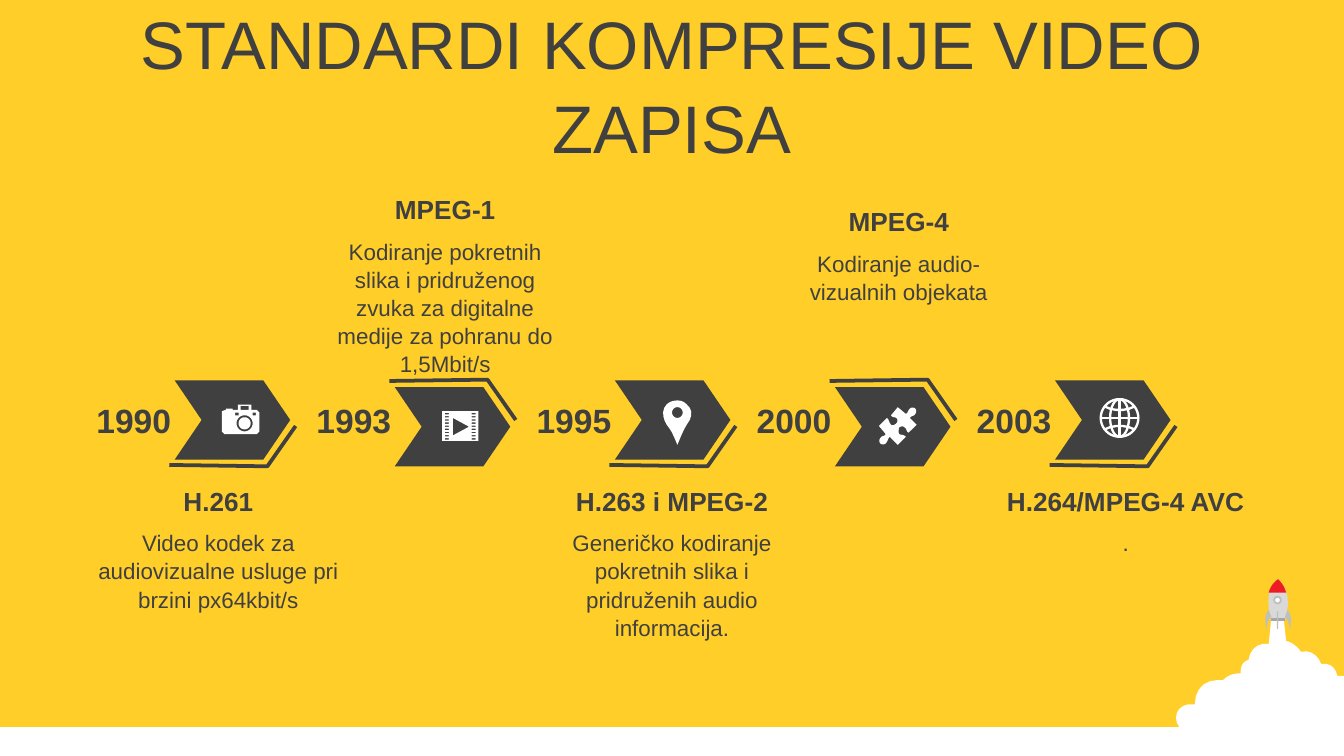
from math import cos, pi, sin

from pptx import Presentation
from pptx.dml.color import RGBColor
from pptx.enum.shapes import MSO_SHAPE
from pptx.enum.text import MSO_ANCHOR, PP_ALIGN
from pptx.util import Inches, Pt

YELLOW = RGBColor(0xFF, 0xCE, 0x29)
DARK = RGBColor(0x40, 0x40, 0x40)
WHITE = RGBColor(0xFF, 0xFF, 0xFF)
LIGHT_GRAY = RGBColor(0xD9, 0xD9, 0xD9)
SILVER = RGBColor(0xBF, 0xBF, 0xBF)
GRAY = RGBColor(0xA6, 0xA6, 0xA6)
RED = RGBColor(0xED, 0x1C, 0x24)

COLUMNS, ROWS = 1000, 562.5
CELL = Inches(10) / COLUMNS
CIRCLE = [(cos(pi * step / 20), sin(pi * step / 20)) for step in range(41)]

deck = Presentation()
deck.slide_width = int(COLUMNS * CELL)
deck.slide_height = int(ROWS * CELL)
page = deck.slides.add_slide(deck.slide_layouts[6])
page.background.fill.solid()
page.background.fill.fore_color.rgb = YELLOW


def write(text, left, top, width, height, size=12, bold=False, anchor=MSO_ANCHOR.TOP):
    box = page.shapes.add_textbox(*(int(side * CELL) for side in (left, top, width, height)))
    frame = box.text_frame
    frame.word_wrap = True
    frame.vertical_anchor = anchor
    para = frame.paragraphs[0]
    para.alignment = PP_ALIGN.CENTER
    para.line_spacing = 1.05
    span = para.add_run()
    span.text = text
    span.font.name = "Arial"
    span.font.size = Pt(size)
    span.font.bold = bold
    span.font.color.rgb = DARK


def sketch(contours, fill=None, line=None, weight=2):
    builder = page.shapes.build_freeform(*(side * CELL for side in contours[0][0]), scale=1.0)
    for index, contour in enumerate(contours):
        points = [contour[0]]
        for step in contour[1:]:
            if len(step) == 2:
                points.append(step)
                continue
            x, y = points[-1]
            a, b, c, d, e, f = step
            for t in (0.2, 0.4, 0.6, 0.8, 1):
                u = 1 - t
                weights = u**3, 3 * u * u * t, 3 * u * t * t, t**3
                points.append((sum(w * v for w, v in zip(weights, (x, a, c, e))),
                               sum(w * v for w, v in zip(weights, (y, b, d, f)))))
        points = [(x * CELL, y * CELL) for x, y in points]
        if index:
            builder.move_to(*points[0])
        builder.add_line_segments(points[1:], close=fill is not None)
    shape = builder.convert_to_shape()
    shape.shadow.inherit = False
    if fill is None:
        shape.fill.background()
        shape.line.color.rgb = line
        shape.line.width = Pt(weight)
    else:
        shape.fill.solid()
        shape.fill.fore_color.rgb = fill
        shape.line.fill.background()


cloud = [(946, 459), (955, 459), (957, 477), (959, 477, 965, 480, 968, 485),
         (975, 483, 981, 488, 983, 494), (990, 493, 994, 497, 995, 503),
         (1000, 503), (1000, 561), (893, 561), (893, 544),
         (891, 545, 889, 545, 886, 545), (880, 545, 875, 540, 875, 534),
         (875, 528, 880, 523, 889, 524), (889, 513, 896, 506, 906, 506),
         (910, 506), (914, 502, 918, 501, 923, 501), (923, 495, 925, 492, 929, 491),
         (930, 483, 936, 478, 944, 479)]
rocket_body = [(946, 462), (944, 453, 940, 440, 951, 431), (962, 441, 958, 454, 956, 462)]
rocket_band = [(946, 460), (956, 460), (956, 462), (946, 462)]
rocket_nose = [(951, 431), (954, 434, 956, 437, 957, 441), (944, 441),
               (945, 437, 947, 434, 951, 431)]
for contour, color in ((cloud, WHITE), (rocket_body, LIGHT_GRAY),
                       (rocket_band, GRAY), (rocket_nose, RED)):
    sketch([contour], color)
for side in (-1, 1):
    fin = [(7, 454), (5, 459), (8, 461, 8, 466, 9, 468), (9, 465, 11, 457, 7, 454)]
    sketch([[tuple(951 + side * value if place % 2 == 0 else value
                   for place, value in enumerate(step)) for step in fin]], SILVER)

presets = [(MSO_SHAPE.RECTANGLE, 0, 541, COLUMNS, ROWS - 541, WHITE, None),
           (MSO_SHAPE.OVAL, 948, 444, 5, 5, WHITE, SILVER),
           (MSO_SHAPE.RECTANGLE, 950, 455, 1, 13, SILVER, None)]
for step in range(5):
    presets.append((MSO_SHAPE.CHEVRON, 130 + 163.75 * step, 288 if step % 2 else 283,
                    86, 59, DARK, None))
for kind, left, top, width, height, fill, line in presets:
    shape = page.shapes.add_shape(kind, *(int(side * CELL) for side in (left, top, width, height)))
    shape.shadow.inherit = False
    shape.fill.solid()
    shape.fill.fore_color.rgb = fill
    if kind == MSO_SHAPE.CHEVRON:
        shape.adjustments[0] = 0.34
    if line is None:
        shape.line.fill.background()
    else:
        shape.line.color.rgb = line
        shape.line.width = Pt(1)

write("STANDARDI KOMPRESIJE VIDEO ZAPISA", 0, 30, COLUMNS, 63, size=36, anchor=MSO_ANCHOR.MIDDLE)

milestones = [
    ("1990", "H.261", "Video kodek za audiovizualne usluge pri brzini px64kbit/s", 355, 71),
    ("1993", "MPEG-1", "Kodiranje pokretnih slika i pridruženog zvuka za digitalne "
     "medije za pohranu do 1,5Mbit/s", 138, 111),
    ("1995", "H.263 i MPEG-2", "Generičko kodiranje pokretnih slika i pridruženih audio "
     "informacija.", 355, 91),
    ("2000", "MPEG-4", "Kodiranje audio-vizualnih objekata", 147, 50),
    ("2003", "H.264/MPEG-4 AVC", ".", 355, 30),
]
for step, (year, name, detail, top, height) in enumerate(milestones):
    shift = 163.75 * step
    bracket = [(220, 317), (199, 347), (126, 346)]
    sketch([[(x + shift, 629.5 - y if step % 2 else y) for x, y in bracket]], line=DARK)
    write(year, 55 + shift, 292, 89, 40, size=18, bold=True, anchor=MSO_ANCHOR.MIDDLE)
    write(detail, 63 + 168.75 * step, top + 33, 199, height)
    write(name, 63 + 168.75 * step, top, 199, 34, size=14, bold=True)

camera = [[(165, 306), (168, 305), (168, 304), (173, 304), (173, 305), (177, 305), (177, 301),
           (187, 301), (187, 305), (191, 305), (193, 307), (193, 321), (191, 323), (167, 323),
           (165, 321)],
          [(179, 302), (185, 302), (185, 305), (179, 305)]]
camera += [[(x, 307), (x + 2.5, 307), (x + 2.5, 309), (x, 309)] for x in (175, 188)]
camera += [[(182 + r * x, 315 + r * y) for x, y in CIRCLE] for r in (6, 4.5)]
sketch(camera, WHITE)

film = [[(329, 306), (356, 306), (356, 328), (329, 328)], [(337, 311), (337, 324), (349, 317.5)]]
film += [[(x, y), (x + 3, y), (x + 3, y + 1), (x, y + 1)]
         for x in (331, 351) for y in (307.3 + 2.35 * row for row in range(9))]
sketch(film, WHITE)

pin = [(504, 298), (507, 298, 509, 299, 511, 301), (516, 305, 515, 311, 511, 316),
       (508, 321, 507, 324, 504, 331), (501, 324, 500, 321, 496, 316),
       (493, 311, 492, 305, 496, 301), (498, 299, 501, 298, 504, 298)]
sketch([pin, [(504 + 4 * x, 307 + 4 * y) for x, y in CIRCLE]], WHITE)

puzzle = [(681, 304), (682, 305, 682, 307, 681, 308), (680, 310, 678, 309, 677, 311),
          (682, 316), (676, 322), (674, 321, 675, 319, 673, 318), (672, 317, 671, 317, 669, 318),
          (669, 319, 668, 321, 669, 323), (671, 324, 672, 323, 674, 325), (668, 331), (662, 325),
          (660, 327, 661, 328, 659, 330), (658, 331, 656, 331, 655, 330),
          (654, 329, 654, 327, 655, 326), (656, 324, 658, 325, 659, 323), (654, 317), (660, 311),
          (662, 313, 661, 314, 663, 316), (664, 317, 666, 316, 667, 315),
          (668, 314, 668, 312, 667, 311), (665, 310, 664, 311, 663, 309), (668, 303), (674, 308),
          (676, 307, 675, 306, 677, 304), (678, 303, 680, 303, 681, 304)]
sketch([puzzle], WHITE)

globe = [[(833 + r * x, 311 + 14 * y) for x, y in CIRCLE] for r in (14, 7)]
globe += [[(833, 297), (833, 325)], [(819, 311), (847, 311)]]
globe += [[(822, 311 + 8.5 * side), (828, 311 + 5 * side, 838, 311 + 5 * side, 844, 311 + 8.5 * side)]
          for side in (-1, 1)]
sketch(globe, line=WHITE, weight=1.25)

deck.save("out.pptx")
